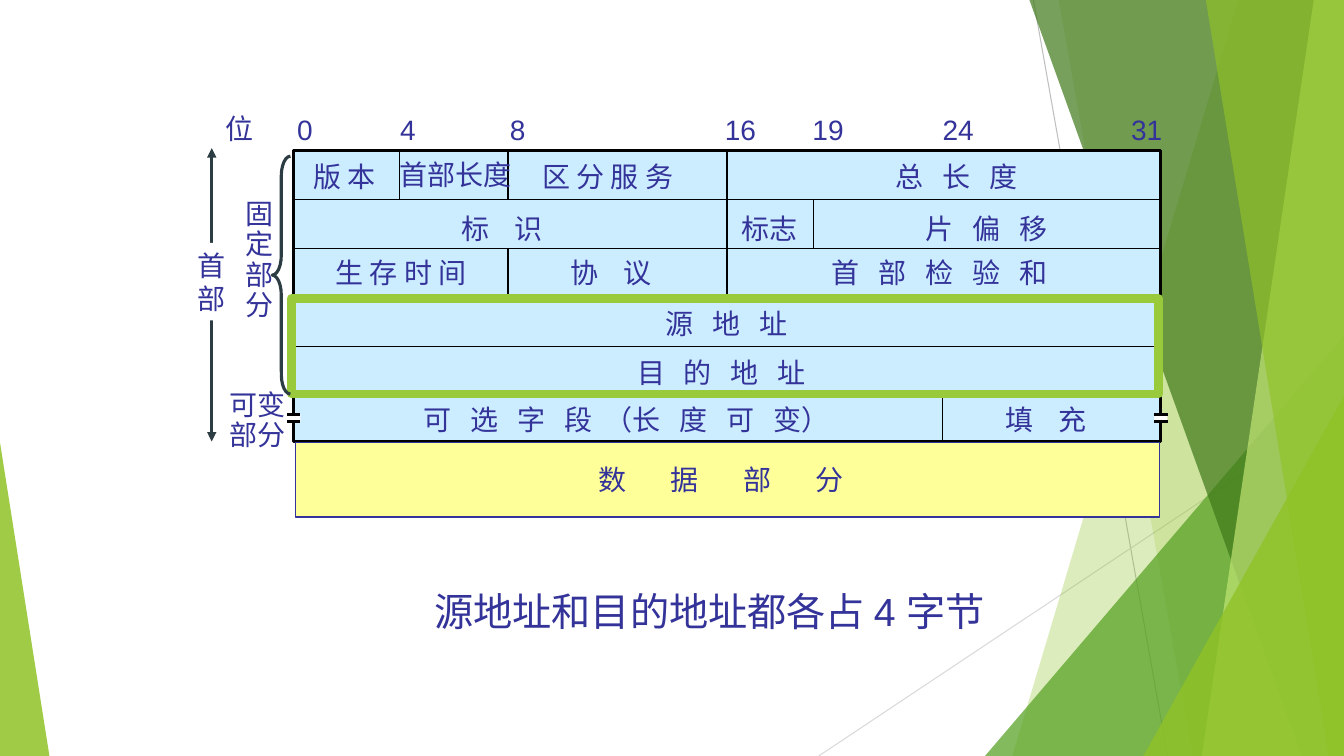
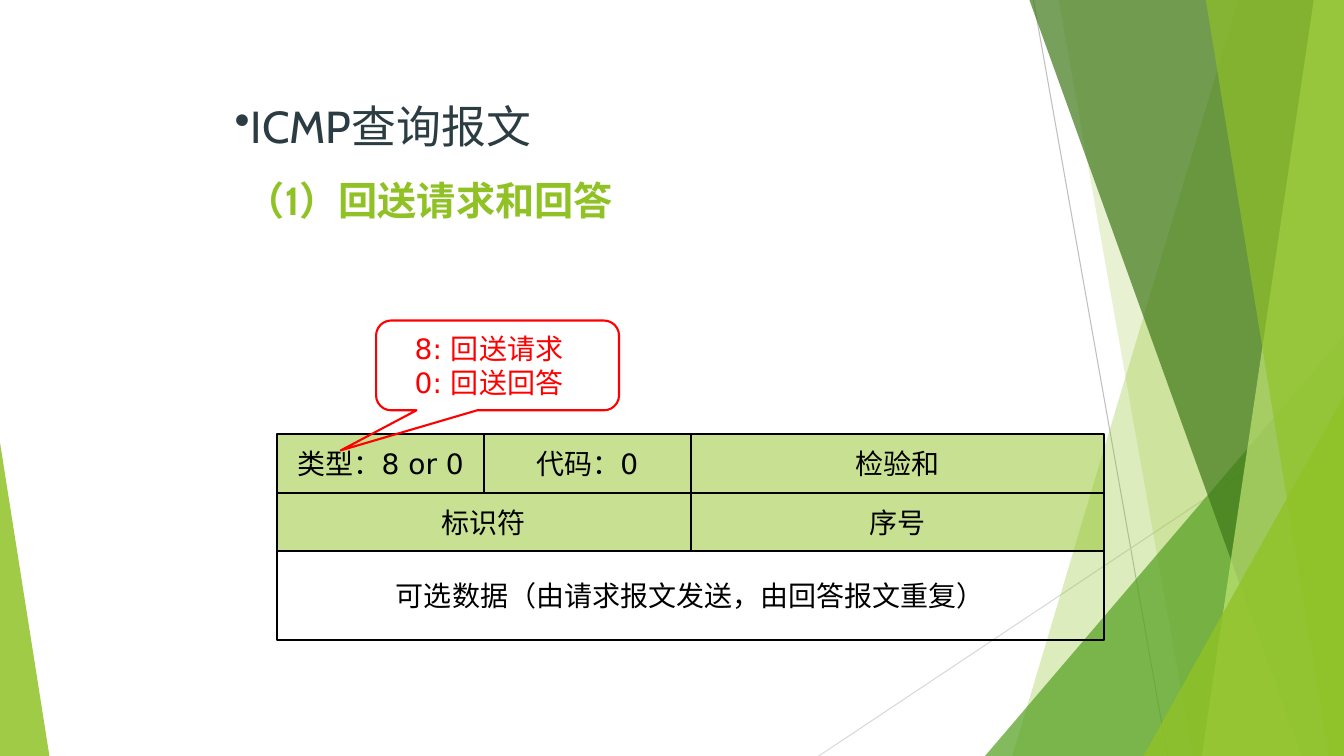
from dataclasses import dataclass

from lxml import etree
from pptx import Presentation
from pptx.dml.color import RGBColor
from pptx.enum import shapes, text
from pptx.oxml import ns
from pptx.util import Inches, Pt


@dataclass(frozen=True)
class Theme:
    width: float = 13.33
    height: float = 7.5
    lime: str = "90C226"
    pale_lime: str = "C0E474"
    leaf: str = "54A021"
    forest: str = "3F7819"
    frame: str = "99CA3C"
    slate: str = "2C3C43"
    navy: str = "333399"
    sky: str = "CCECFF"
    butter: str = "FFFF99"
    black: str = "000000"
    white: str = "FFFFFF"
    red: str = "FF0000"
    grey: str = "BFBFBF"
    light_grey: str = "D9D9D9"
    packet_font: str = "Arial"
    message_font: str = "DejaVu Sans"
    heading_font: str = "Cabin"
    body: int = 20
    subheading: int = 28
    heading: int = 32
    space: float = 4.5


THEME = Theme()
PRESET = shapes.MSO_SHAPE


def rgb(value):
    return RGBColor.from_string(value)


def apply(target, values):
    for name, value in values.items():
        setattr(target, name, value)


def add_xml(parent, tag, **attributes):
    return etree.SubElement(parent, ns.qn(tag), attributes)


def style(shape, fill=None, alpha=100, line=None, weight=1):
    shape.shadow.inherit = False
    if fill:
        shape.fill.solid()
        shape.fill.fore_color.rgb = rgb(fill)
        if alpha < 100:
            color = shape.element.spPr.find(ns.qn("a:solidFill"))[0]
            add_xml(color, "a:alpha", val=str(alpha * 1000))
    else:
        shape.fill.background()
    if line:
        shape.line.color.rgb = rgb(line)
        shape.line.width = Pt(weight)
    else:
        shape.line.fill.background()
    return shape


def add_box(slide, box, preset=PRESET.RECTANGLE, adjust=(), **look):
    shape = slide.shapes.add_shape(preset, *map(Inches, box))
    for index, value in enumerate(adjust):
        shape.adjustments[index] = value
    return style(shape, **look)


def add_line(slide, start, end, color=THEME.black, weight=1, arrows=False):
    line = slide.shapes.add_connector(
        shapes.MSO_CONNECTOR.STRAIGHT, *map(Inches, (*start, *end)))
    line.line.color.rgb = rgb(color)
    line.line.width = Pt(weight)
    if arrows:
        for end_tag in ("a:headEnd", "a:tailEnd"):
            add_xml(line.line._get_or_add_ln(), end_tag, type="triangle")
    add_xml(line.element.spPr, "a:effectLst")
    return line


def write(shape, lines, font=THEME.packet_font, size=THEME.body,
          color=THEME.navy, bold=False, frame=None, paragraph=None):
    apply(shape.text_frame, frame or {})
    for index, runs in enumerate(lines):
        para = (shape.text_frame.add_paragraph() if index
                else shape.text_frame.paragraphs[0])
        apply(para, {"alignment": text.PP_ALIGN.LEFT, **(paragraph or {})})
        for words, spaces in ([(runs, 0)] if isinstance(runs, str) else runs):
            run = para.add_run()
            run.text = words
            apply(run.font, {"name": font, "size": Pt(size), "bold": bold})
            run.font.color.rgb = rgb(color)
            if spaces:
                tracking = round(spaces * THEME.space * 100)
                run.font._element.set("spc", str(tracking))
    return shape


def add_text(slide, box, lines, wrap=False, anchor=text.MSO_ANCHOR.TOP, **look):
    label = slide.shapes.add_textbox(*map(Inches, box))
    frame = {"word_wrap": wrap, "vertical_anchor": anchor}
    return write(label, lines, frame=frame, **look)


def add_panel(slide, top_left, bottom_left, fill, alpha):
    corners = [(top_left, 0), (THEME.width, 0),
               (THEME.width, THEME.height), (bottom_left, THEME.height)]
    points = [(Inches(x), Inches(y)) for x, y in corners]
    builder = slide.shapes.build_freeform(*points[0], scale=1.0)
    builder.add_line_segments(points[1:], close=True)
    style(builder.convert_to_shape(), fill=fill, alpha=alpha)


def add_wedge(slide, left, top, width, apex, fill, alpha):
    add_box(slide, (left, top, width, THEME.height - top),
            PRESET.ISOSCELES_TRIANGLE, [apex], fill=fill, alpha=alpha)


def build_backdrop(slide):
    right, bottom = THEME.width, THEME.height
    add_line(slide, (10.25, 0), (11.58, bottom), THEME.grey, 0.75)
    add_line(slide, (right, 4.03), (8.12, bottom), THEME.light_grey, 0.75)
    add_panel(slide, 12.28, 10.04, THEME.lime, 30)
    add_panel(slide, 10.5, 11.83, THEME.lime, 20)
    add_wedge(slide, 9.77, 3.33, 3.56, 1, THEME.leaf, 72)
    add_panel(slide, 10.21, 12.91, THEME.forest, 70)
    add_panel(slide, 13.03, 11.92, THEME.pale_lime, 70)
    add_panel(slide, 11.96, 13.18, THEME.lime, 65)
    add_wedge(slide, 11.34, 3.93, 1.99, 1, THEME.lime, 80)
    add_wedge(slide, 0, 4.39, 0.49, 0, THEME.lime, 85)
    layout_tree = slide.slide_layout.shapes.element
    for shape in list(slide.shapes):
        layout_tree.append(shape.element)


def add_break_mark(slide, left, top):
    add_box(slide, (left, top, 0.13, 0.07), fill=THEME.white)
    for y in (top, top + 0.07):
        add_line(slide, (left, y), (left + 0.13, y), weight=2)


def add_header_fields(slide):
    rows = [
        (1.53, [(3.01, 0.84, "版 本"), (5.28, 1.55, "区 分 服 务"),
                (8.78, 1.5, [("总长度", 3)])]),
        (1.51, [(3.86, 1.32, "首部长度")]),
        (2.05, [(4.48, 1.07, [("标识", 4)]), (7.26, 0.76, "标志"),
                (9.08, 1.5, [("片偏移", 3)])]),
        (2.49, [(3.23, 1.55, "生 存 时 间"), (5.56, 1.06, [("协议", 4)]),
                (8.15, 2.53, [("首部检验和", 3)])]),
        (2.99, [(6.5, 1.5, [("源地址", 3)])]),
        (3.48, [(6.22, 2.02, [("目的地址", 3)])]),
        (3.94, [(4.1, 4.55, [("可选字", 3), ("段", 2), ("（", 0),
                             ("长度可", 3), ("变）", 0)]),
                (9.87, 1.07, [("填充", 4)])]),
        (4.54, [(5.84, 3.18, [("数据部分", 7)])]),
    ]
    for top, fields in rows:
        for left, width, words in fields:
            add_text(slide, (left, top, width, 0.43), [words])


def build_packet_slide(slide):
    add_line(slide, (2.1, 1.47), (2.1, 4.38), THEME.slate, 2.25, arrows=True)
    span = add_box(slide, (1.86, 2.41, 0.48, 0.77), fill=THEME.white)
    write(span, ["首", "部"], frame={"word_wrap": False})
    header = add_box(slide, (2.91, 1.49, 8.6, 2.89),
                     fill=THEME.sky, line=THEME.black, weight=2)
    add_box(slide, (2.93, 4.39, 8.57, 0.74),
            fill=THEME.butter, line=THEME.navy)

    row_lines = [1.49] + [1.98 + 0.485 * row for row in range(5)] + [4.38]
    for y in row_lines[1:-1]:
        add_line(slide, (2.9, y), (11.52, y))
    dividers = [(3.96, 0, 1), (5.04, 0, 1), (5.04, 2, 3),
                (8.07, 1, 2), (9.35, 5, 6)]
    for x, first, last in dividers:
        add_line(slide, (x, row_lines[first]), (x, row_lines[last]))
    middle = add_line(slide, (7.21, row_lines[0]), (7.21, row_lines[3]))
    middle.begin_connect(header, 0)

    bits = [(2.85, "0"), (3.87, "4"), (4.96, "8"), (7.09, "16"),
            (7.96, "19"), (9.25, "24"), (11.12, "31")]
    for left, bit in bits:
        add_text(slide, (left, 1.07, 0.21 + 0.15 * len(bit), 0.43), [bit])
    add_text(slide, (2.14, 1.06, 0.48, 0.43), ["位"])
    add_header_fields(slide)

    for left in (2.85, 11.45):
        add_break_mark(slide, left, 4.11)
    tight = {"line_spacing": 0.9}
    add_text(slide, (2.34, 1.94, 0.48, 1.31), list("固定部分"), paragraph=tight)
    add_text(slide, (2.18, 3.83, 0.76, 0.7), ["可变", "部分"], paragraph=tight)
    add_text(slide, (4.21, 5.78, 5.69, 0.57), ["源地址和目的地址都各占 4 字节"],
             wrap=True, size=THEME.subheading)
    add_box(slide, (2.89, 2.96, 8.6, 0.95), line=THEME.frame, weight=6)
    add_box(slide, (2.7, 1.55, 0.18, 2.36), PRESET.LEFT_BRACE, [1.08, 0.5],
            line=THEME.slate, weight=2.25)


def add_message_field(slide, box, words, fill=THEME.lime):
    field = add_box(slide, box, fill=fill, alpha=50,
                    line=THEME.black, weight=1.5)
    write(field, [words], font=THEME.message_font, color=THEME.black,
          frame={"margin_left": 0, "margin_right": 0},
          paragraph={"alignment": text.PP_ALIGN.CENTER})


def build_message_slide(slide):
    add_text(slide, (2.34, 1.7, 4.83, 0.75), ["（1）回送请求和回答"], wrap=True,
             font=THEME.heading_font, size=THEME.subheading,
             color=THEME.lime, bold=True)
    topic = add_text(slide, (2.23, 0.87, 4.83, 0.75), ["ICMP查询报文"], wrap=True,
                     anchor=text.MSO_ANCHOR.MIDDLE, font=THEME.heading_font,
                     size=THEME.heading, color=THEME.slate)
    topic_format = topic.text_frame.paragraphs[0]._p.get_or_add_pPr()
    add_xml(topic_format, "a:buChar", char="•")

    left, top, byte, row = 2.75, 4.31, 2.05, 0.58
    fields = [(0, 0, 1, "类型：8 or 0"), (1, 0, 1, "代码：0"), (2, 0, 2, "检验和"),
              (0, 1, 2, "标识符"), (2, 1, 2, "序号")]
    for column, line, span, words in fields:
        add_message_field(slide, (left + column * byte, top + line * row,
                                  span * byte, row), words)
    add_message_field(slide, (left, top + 2 * row, 4 * byte, 0.88),
                      "可选数据（由请求报文发送，由回答报文重复）", fill=None)

    callout = add_box(slide, (3.73, 3.18, 2.41, 0.89),
                      PRESET.ROUNDED_RECTANGULAR_CALLOUT,
                      [-0.645, 0.947, 0.167], line=THEME.red, weight=1.5)
    write(callout, ["8: 回送请求", "0: 回送回答"], font=THEME.message_font,
          color=THEME.red, frame={"margin_left": Inches(0.34), "margin_right": 0})


def main():
    deck = Presentation()
    apply(deck, {"slide_width": Inches(THEME.width),
                 "slide_height": Inches(THEME.height)})
    blank = deck.slide_layouts[6]
    packet, message = (deck.slides.add_slide(blank) for _ in range(2))
    build_backdrop(packet)
    build_packet_slide(packet)
    build_message_slide(message)
    deck.save("out.pptx")


if __name__ == "__main__":
    main()
